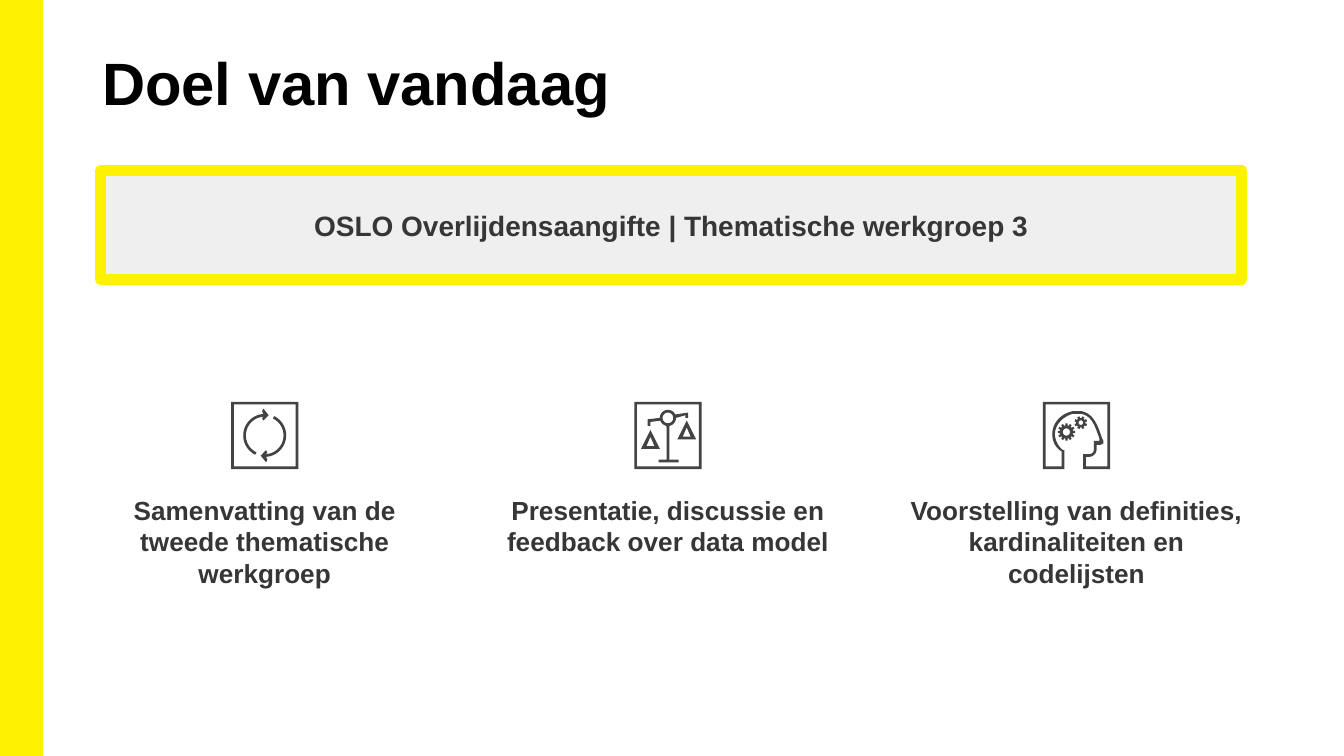
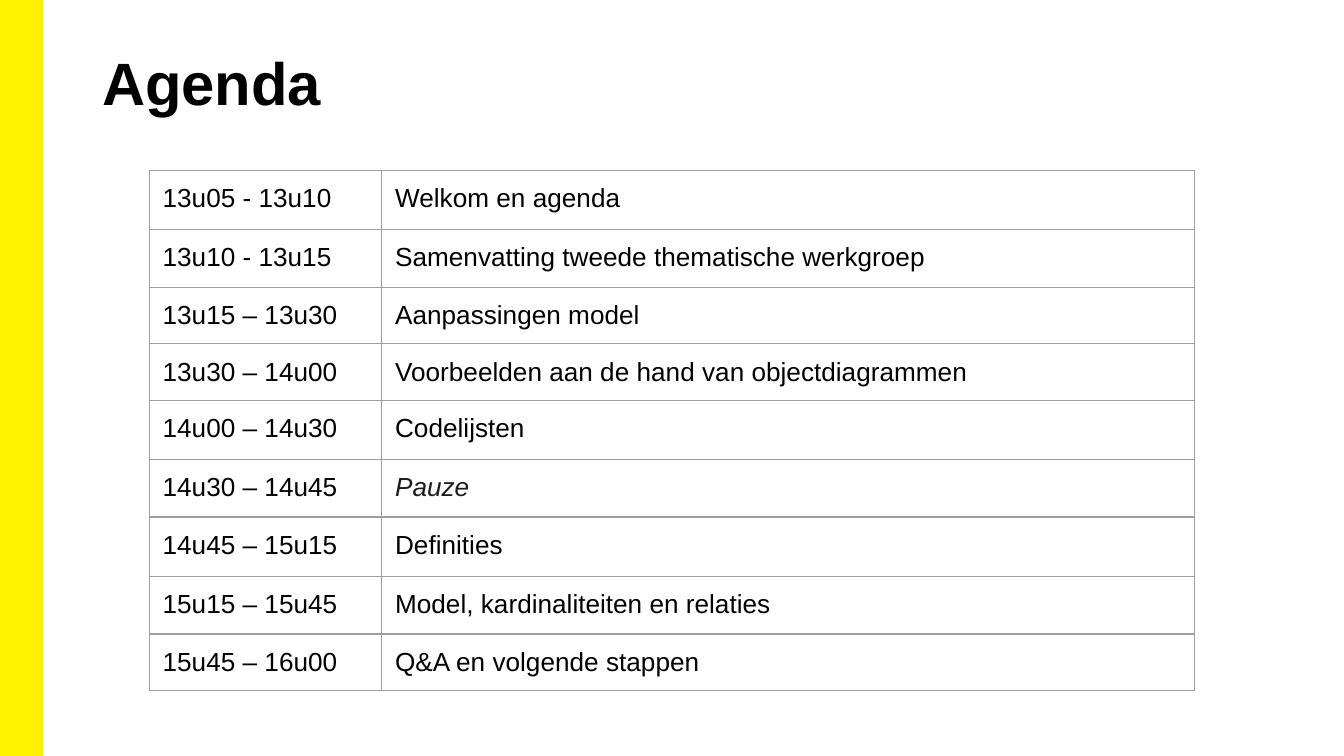
import math

from lxml import etree
from pptx import Presentation
from pptx.dml.color import RGBColor
from pptx.enum import shapes, text
from pptx.oxml import ns
from pptx.util import Inches, Pt

# Style
YELLOW = RGBColor(0xFF, 0xF2, 0x00)
BLACK = RGBColor(0x00, 0x00, 0x00)
PALE = RGBColor(0xEF, 0xEF, 0xEF)
DARK = RGBColor(0x37, 0x36, 0x36)
SOFT = RGBColor(0x1C, 0x1B, 0x1B)
ICON = RGBColor(0x43, 0x43, 0x43)
RULE = RGBColor(0x9E, 0x9E, 0x9E)
FONT = "Arial"
WIDTH = 10
HEIGHT = WIDTH * 9 / 16
LEFT = text.PP_ALIGN.LEFT
CENTER = text.PP_ALIGN.CENTER
TOP = text.MSO_ANCHOR.TOP
MIDDLE = text.MSO_ANCHOR.MIDDLE


def write(frame, words, size=14, color=BLACK, bold=False, italic=False,
          align=LEFT, anchor=None, inset=None):
    """Fill a text frame with one formatted paragraph."""
    if inset:
        frame.word_wrap = True
        frame.auto_size = text.MSO_AUTO_SIZE.NONE
        frame.vertical_anchor = anchor or TOP
        frame.margin_left = frame.margin_right = Inches(inset[0])
        frame.margin_top = frame.margin_bottom = Inches(inset[1])
    para = frame.paragraphs[0]
    para.alignment = align
    run = para.add_run()
    run.text = words
    font = run.font
    font.name, font.size = FONT, Pt(size)
    font.bold, font.italic = bold, italic
    font.color.rgb = color


# Outlines, in hundredths of an inch from the icon's corner
def arc(x, y, r, start, end, steps=24):
    turns = [math.radians(start + (end - start) * i / steps)
             for i in range(steps + 1)]
    return [(x + r * math.cos(a), y + r * math.sin(a)) for a in turns]


def curve(a, b, c, d, steps=12):
    out = []
    for i in range(steps + 1):
        t = i / steps
        s = 1 - t
        out.append(tuple(s**3 * p + 3 * s * s * t * q + 3 * s * t * t * r + t**3 * e
                         for p, q, r, e in zip(a, b, c, d)))
    return out


def square(low, high):
    return [(low, low), (low, high), (high, high), (high, low)]


def shift(points, dx, dy):
    return [(x + dx, y + dy) for x, y in points]


def gear(x, y, r, root, hole, teeth, phase=0):
    rim = []
    step = 360 / teeth
    for i in range(teeth):
        for reach, turn in ((root, -0.3), (r, -0.25), (r, 0.25), (root, 0.3)):
            a = math.radians((i + phase + turn) * step)
            rim.append((x + reach * math.cos(a), y + reach * math.sin(a)))
    return [rim, arc(x, y, hole, 0, 360)]


def cycle():
    arrow = (arc(25, 25, 14, 180, 268)
             + [(23, 12), (24, 14), (28, 10), (24, 5), (23, 7), (24, 9)]
             + arc(25, 25, 16, 266, 116) + arc(25, 25, 14, 116, 180))
    back = [(50 - x, 50 - y) for x, y in arrow]
    return [[square(0, 50), square(2, 48)], [arrow], [back]]


def scales():
    pan = [(12, 21), (5, 35), (19, 35)]
    gap = [(12, 26), (9, 33), (15, 33)]
    beam = ([(12, 15)] + arc(25, 12, 6, 160, 100)
            + [(24, 43), (18, 43), (18, 45), (33, 45), (33, 43), (26, 43)]
            + arc(25, 12, 6, 80, 0)
            + [(38, 10), (38, 12), (40, 12), (40, 8)]
            + arc(25, 12, 6, 335, 180)
            + [(10, 13), (10, 18), (12, 18)])
    return [[square(0, 50), square(2, 48), pan, gap,
             shift(pan, 27, -7), shift(gap, 27, -7),
             beam, arc(25, 12, 4, 0, 360)]]


def head():
    outer = ([(0, 0), (0, 50), (16, 50), (16, 36)]
             + curve((15, 36), (11, 33), (9, 28), (9, 24))
             + curve((9, 24), (9, 17), (15, 11), (22, 9))
             + curve((29, 9), (37, 11), (39, 19), (42, 27))
             + [(42, 29), (38, 29)]
             + curve((38, 35), (38, 38), (36, 39), (34, 39))
             + [(30, 39), (30, 50), (50, 50), (50, 0)])
    inner = ([(48, 48), (32, 48), (32, 41)]
             + curve((34, 41), (37, 41), (40, 39), (40, 35))
             + [(40, 32), (43, 32), (45, 31), (45, 29)]
             + curve((44, 27), (41, 18), (38, 9), (29, 7))
             + curve((22, 7), (13, 9), (7, 16), (7, 24))
             + curve((7, 24), (7, 29), (9, 34), (14, 37))
             + [(14, 48), (2, 48), (2, 2), (48, 2)])
    return [[outer, inner],
            gear(17.5, 22.5, 6.5, 5, 2.7, 12),
            gear(28.2, 15.5, 4.8, 3.5, 1.7, 8, 0.5)]


class Deck:
    def __init__(self):
        self.prs = Presentation()
        self.prs.slide_width = Inches(WIDTH)
        self.prs.slide_height = Inches(HEIGHT)
        self.page = None

    def slide(self, title):
        self.page = self.prs.slides.add_slide(self.prs.slide_layouts[5])
        self.rect(0, 0, 0.31, HEIGHT, YELLOW, 1)
        box = self.page.shapes.title
        box.left, box.top = Inches(0.69), Inches(0.3)
        box.width, box.height = Inches(8.62), Inches(0.81)
        write(box.text_frame, title, size=32, bold=True, inset=(0.07, 0.04))

    def rect(self, x, y, w, h, fill, line):
        box = self.page.shapes.add_shape(
            shapes.MSO_SHAPE.RECTANGLE, Inches(x), Inches(y), Inches(w), Inches(h))
        box.shadow.inherit = False
        box.fill.solid()
        box.fill.fore_color.rgb = fill
        box.line.color.rgb = YELLOW
        box.line.width = Pt(line)
        return box

    def label(self, x, y, w, h, words, **style):
        box = self.page.shapes.add_textbox(
            Inches(x), Inches(y), Inches(w), Inches(h))
        write(box.text_frame, words, **style)

    def icon(self, x, y, parts):
        home = self.page.shapes
        if len(parts) > 1:
            home = home.add_group_shape().shapes
        for part in parts:
            rings = [[(Inches(x + px / 100), Inches(y + py / 100))
                      for px, py in ring] for ring in part]
            pen = home.build_freeform(*rings[0][0], scale=1.0)
            pen.add_line_segments(rings[0][1:], close=True)
            for ring in rings[1:]:
                pen.move_to(*ring[0])
                pen.add_line_segments(ring[1:], close=True)
            form = pen.convert_to_shape()
            form.shadow.inherit = False
            form.fill.solid()
            form.fill.fore_color.rgb = ICON
            form.line.fill.background()

    def border(self, cell):
        props = cell._tc.get_or_add_tcPr()
        for side in ("a:lnL", "a:lnR", "a:lnT", "a:lnB"):
            line = etree.SubElement(props, ns.qn(side), w=str(Pt(0.75)))
            fill = etree.SubElement(line, ns.qn("a:solidFill"))
            etree.SubElement(fill, ns.qn("a:srgbClr"), val=str(RULE))

    def table(self, x, y, cols, highs, rows):
        grid = self.page.shapes.add_table(
            len(rows), len(cols), Inches(x), Inches(y),
            Inches(sum(cols)), Inches(sum(highs))).table
        grid.first_row = grid.horz_banding = False
        for col, w in zip(grid.columns, cols):
            col.width = Inches(w)
        for row, high, words in zip(grid.rows, highs, rows):
            row.height = Inches(high)
            for cell, word in zip(row.cells, words):
                self.border(cell)
                cell.fill.background()
                cell.margin_left = cell.margin_right = Inches(0.1)
                cell.margin_top = cell.margin_bottom = Inches(0.1)
                rest = word == "Pauze"
                write(cell.text_frame, word, italic=rest,
                      color=SOFT if rest else BLACK)


def main():
    deck = Deck()

    # Goals
    deck.slide("Doel van vandaag")
    bold = dict(color=DARK, bold=True, align=CENTER, inset=(0.1, 0.05))
    box = deck.rect(0.75, 1.27, 8.49, 0.81, PALE, 6)
    write(box.text_frame, "OSLO Overlijdensaangifte | Thematische werkgroep 3",
          size=15, anchor=MIDDLE, **bold)
    goals = [
        (1.97, 2.72, cycle, "Samenvatting van de tweede thematische werkgroep"),
        (4.97, 2.8, scales, "Presentatie, discussie en feedback over data model"),
        (8.01, 2.8, head, "Voorstelling van definities, kardinaliteiten en codelijsten"),
    ]
    for mid, wide, draw, words in goals:
        deck.icon(mid - 0.25, 2.99, draw())
        deck.label(mid - wide / 2, 3.63, wide, 1.28, words, **bold)

    # Agenda
    deck.slide("Agenda")
    deck.table(1.11, 1.27, (1.73, 6.05),
               (0.44, 0.43, 0.41, 0.41, 0.44, 0.43, 0.44, 0.43, 0.39), [
        ("13u05 - 13u10", "Welkom en agenda"),
        ("13u10 - 13u15", "Samenvatting tweede thematische werkgroep"),
        ("13u15 – 13u30", "Aanpassingen model"),
        ("13u30 – 14u00", "Voorbeelden aan de hand van objectdiagrammen"),
        ("14u00 – 14u30", "Codelijsten"),
        ("14u30 – 14u45", "Pauze"),
        ("14u45 – 15u15", "Definities"),
        ("15u15 – 15u45", "Model, kardinaliteiten en relaties"),
        ("15u45 – 16u00", "Q&A en volgende stappen"),
    ])

    deck.prs.save("out.pptx")


if __name__ == "__main__":
    main()
